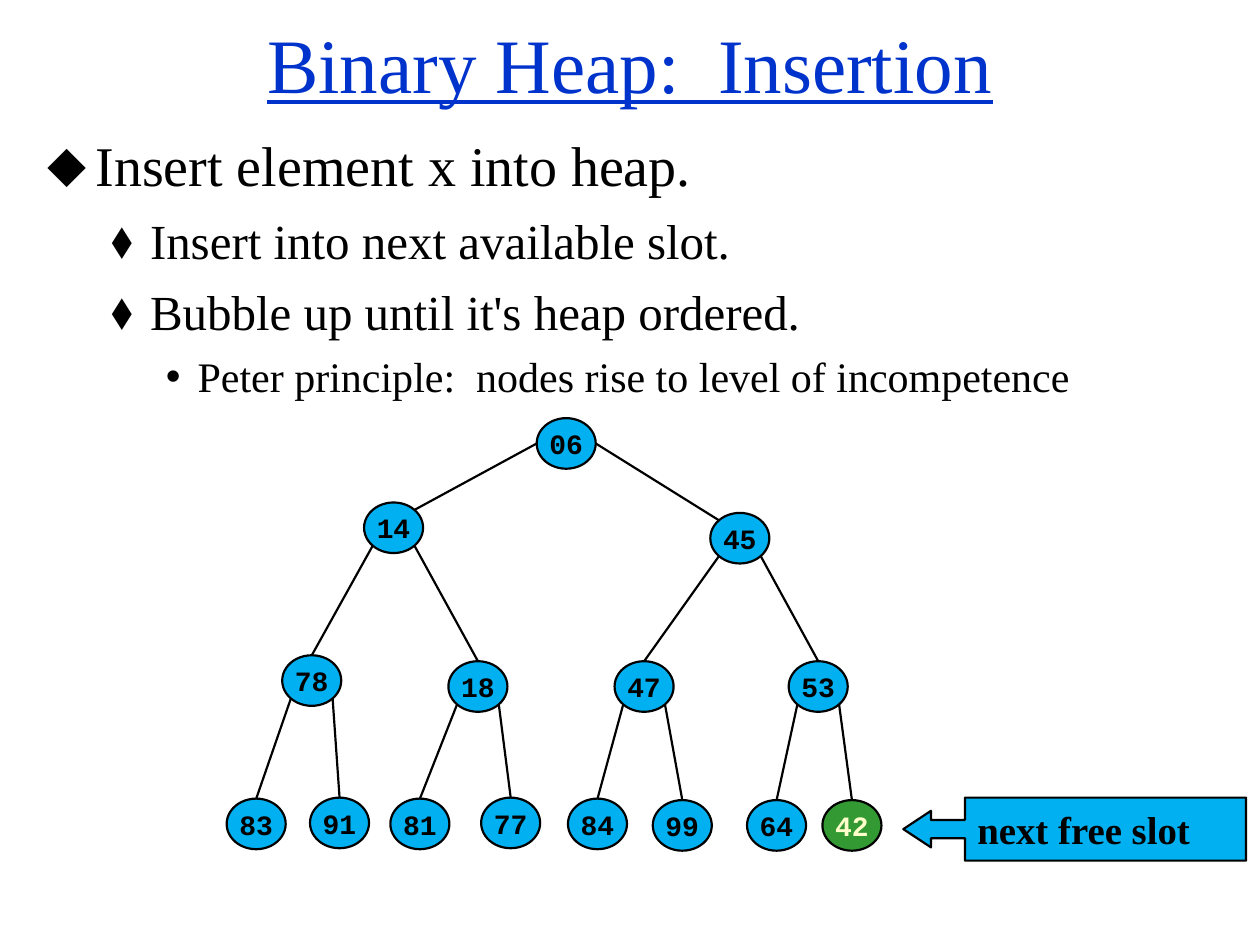
from lxml import etree
from pptx import Presentation
from pptx.dml.color import RGBColor
from pptx.enum.shapes import MSO_CONNECTOR, MSO_SHAPE
from pptx.enum.text import MSO_ANCHOR, MSO_AUTO_SIZE, PP_ALIGN
from pptx.oxml.ns import qn
from pptx.util import Cm, Pt

STRAIGHT = MSO_CONNECTOR.STRAIGHT
ELLIPSE = MSO_SHAPE.OVAL
CALLOUT = MSO_SHAPE.LEFT_ARROW_CALLOUT
MIDDLE, TOP = MSO_ANCHOR.MIDDLE, MSO_ANCHOR.TOP
CENTER, LEFT = PP_ALIGN.CENTER, PP_ALIGN.LEFT
NO_AUTOFIT = MSO_AUTO_SIZE.NONE

BLACK = RGBColor(0x00, 0x00, 0x00)
NEAR_BLACK = RGBColor(0x01, 0x00, 0x00)
WHITE = RGBColor(0xFF, 0xFF, 0xFF)
TITLE_BLUE = RGBColor(0x00, 0x33, 0xCC)
NODE_BLUE = RGBColor(0x00, 0xB0, 0xF0)
NEW_GREEN = RGBColor(0x33, 0x99, 0x33)
NEW_TEXT = RGBColor(0xFF, 0xFF, 0xCC)

SERIF, MONO = "Times New Roman", "Courier New"
OUTLINE = Pt(1.25)
NODE_WIDTH, NODE_HEIGHT = 1.19, 1.02
DIAGONAL = 0.5 ** 0.5

TITLE_FORMAT = {"name": SERIF, "size": Pt(44), "underline": True}
NODE_FORMAT = {"name": MONO, "size": Pt(16), "bold": True}
CALLOUT_FORMAT = {"name": SERIF, "size": Pt(22.2), "bold": True}

LEVELS = [
    {"size": 32, "before": 8, "margin": 0.96, "hang": 0.96, "bullet": "⬥", "color": NEAR_BLACK},
    {"size": 28, "before": 7, "margin": 2.06, "hang": 0.79, "bullet": "⬧", "color": BLACK},
    {"size": 24, "before": 6, "margin": 3.02, "hang": 0.64, "bullet": "•", "color": BLACK},
]
BODY_LINES = [
    (0, "Insert element x into heap."),
    (1, "Insert into next available slot."),
    (1, "Bubble up until it's heap ordered."),
    (2, "Peter principle:  nodes rise to level of incompetence"),
]
HEAP = [
    ("06", 6.25, 0),
    ("14", 2.77, 1.7), ("45", 9.75, 1.91),
    ("78", 1.12, 4.78), ("18", 4.47, 4.9), ("47", 7.82, 4.9), ("53", 11.33, 4.9),
    ("83", 0, 7.67), ("91", 1.68, 7.65), ("81", 3.3, 7.67), ("77", 5.13, 7.65),
    ("84", 6.88, 7.67), ("99", 8.59, 7.7), ("64", 10.49, 7.7), ("42", 12.01, 7.7),
]


def place(shape, box):
    for name, value in zip(("left", "top", "width", "height"), box):
        setattr(shape, name, Cm(value))


def add_run(paragraph, text, color, format_values):
    run = paragraph.add_run()
    run.text = text
    for name, value in format_values.items():
        setattr(run.font, name, value)
    run.font.color.rgb = color


def add_bullet(paragraph, level):
    properties = paragraph._p.get_or_add_pPr()
    properties.set("marL", str(Cm(level["margin"])))
    properties.set("indent", str(-Cm(level["hang"])))
    color = etree.SubElement(properties, qn("a:buClr"))
    etree.SubElement(color, qn("a:srgbClr"), val=str(level["color"]))
    etree.SubElement(properties, qn("a:buChar"), char=level["bullet"])


def add_title(slide, box):
    title = slide.shapes.title
    place(title, box)
    frame = title.text_frame
    frame.auto_size = NO_AUTOFIT
    frame.vertical_anchor = MIDDLE
    paragraph = frame.paragraphs[0]
    paragraph.alignment = CENTER
    add_run(paragraph, "Binary Heap:  Insertion", TITLE_BLUE, TITLE_FORMAT)


def add_body(slide, box):
    body = slide.placeholders[1]
    place(body, box)
    body.fill.solid()
    body.fill.fore_color.rgb = WHITE
    frame = body.text_frame
    frame.auto_size = NO_AUTOFIT
    frame.vertical_anchor = TOP
    for index, (depth, text) in enumerate(BODY_LINES):
        paragraph = frame.add_paragraph() if index else frame.paragraphs[0]
        level = LEVELS[depth]
        paragraph.level = depth
        paragraph.space_before = Pt(level["before"] if index else 0)
        add_bullet(paragraph, level)
        add_run(paragraph, text, level["color"], {"name": SERIF, "size": Pt(level["size"])})


def add_labelled_shape(slide, kind, box, fill, text, text_color, format_values, alignment):
    shape = slide.shapes.add_shape(kind, *(Cm(value) for value in box))
    shape.shadow.inherit = False
    shape.fill.solid()
    shape.fill.fore_color.rgb = fill
    shape.line.color.rgb = BLACK
    shape.line.width = OUTLINE
    frame = shape.text_frame
    frame.word_wrap = False
    frame.vertical_anchor = MIDDLE
    paragraph = frame.paragraphs[0]
    paragraph.alignment = alignment
    add_run(paragraph, text, text_color, format_values)
    return shape


def add_edge(slide, start, end):
    edge = slide.shapes.add_connector(STRAIGHT, *(Cm(value) for value in start + end))
    edge.line.color.rgb = BLACK
    edge.line.width = OUTLINE
    etree.SubElement(edge._element.spPr, qn("a:effectLst"))


def rim_point(center, across, down):
    return (center[0] + across * NODE_WIDTH / 2, center[1] + down * NODE_HEIGHT / 2)


def add_heap(slide, left, top):
    centers = [(left + x + NODE_WIDTH / 2, top + y + NODE_HEIGHT / 2) for _, x, y in HEAP]
    for child in range(1, len(HEAP)):
        parent = (child - 1) // 2
        side = -1 if child % 2 else 1
        if parent == 0:
            start = rim_point(centers[parent], side, 0)
            end = rim_point(centers[child], -side * DIAGONAL, -DIAGONAL)
        else:
            start = rim_point(centers[parent], side * DIAGONAL, DIAGONAL)
            end = rim_point(centers[child], 0, -1)
        add_edge(slide, start, end)
    for index, (key, x, y) in enumerate(HEAP):
        is_new = index == len(HEAP) - 1
        add_labelled_shape(
            slide, ELLIPSE, (left + x, top + y, NODE_WIDTH, NODE_HEIGHT),
            NEW_GREEN if is_new else NODE_BLUE, key,
            NEW_TEXT if is_new else BLACK, NODE_FORMAT, CENTER)


def add_slot_callout(slide, box):
    callout = add_labelled_shape(
        slide, CALLOUT, box, NODE_BLUE, "next free slot", BLACK, CALLOUT_FORMAT, LEFT)
    callout.text_frame.word_wrap = True
    for index, value in enumerate((0.29, 0.29, 0.44, 0.82)):
        callout.adjustments[index] = value


def main():
    presentation = Presentation()
    presentation.slide_width = Cm(25.4)
    presentation.slide_height = Cm(19.05)
    slide = presentation.slides.add_slide(presentation.slide_layouts[1])
    add_title(slide, (0, 0, 25.4, 2.54))
    add_body(slide, (0.71, 2.51, 23.5, 13.54))
    add_heap(slide, 4.57, 8.43)
    add_slot_callout(slide, (18.21, 16.08, 6.91, 1.27))
    presentation.save("out.pptx")


if __name__ == "__main__":
    main()
